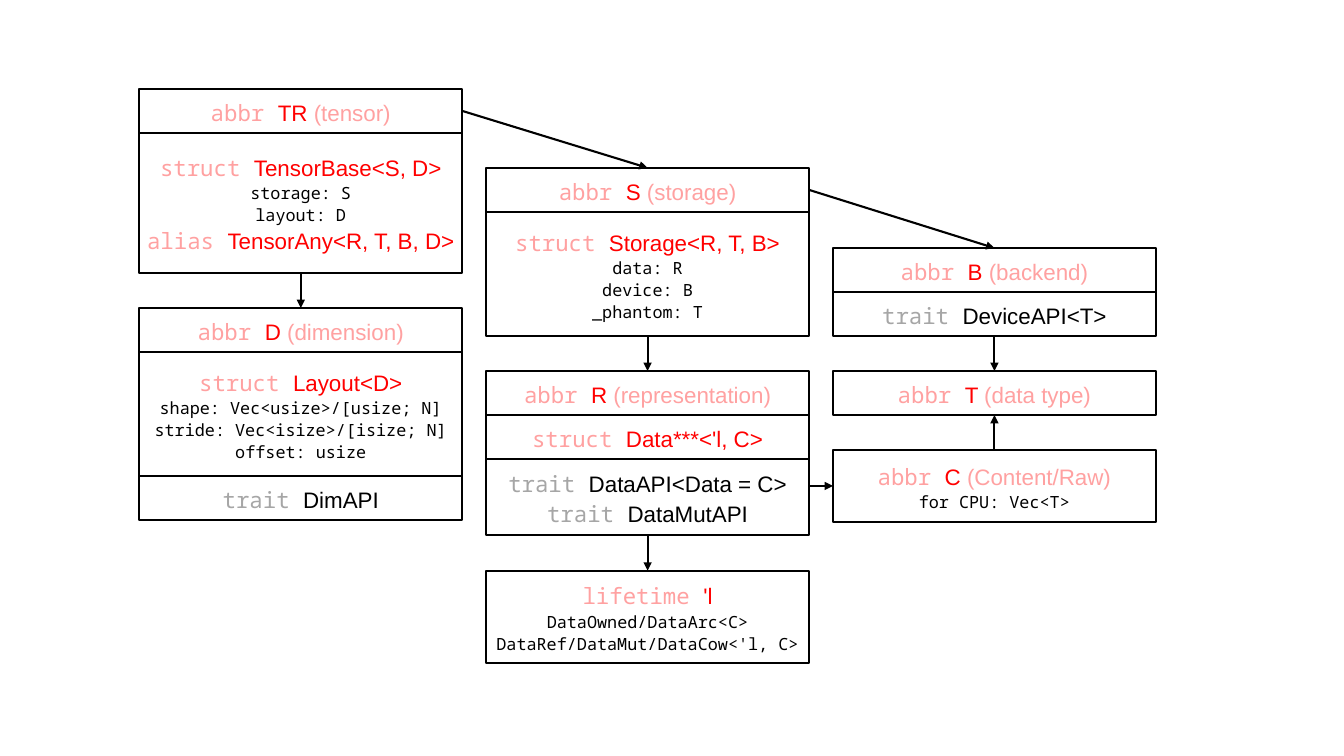
from collections import namedtuple

from lxml import etree
from pptx import Presentation
from pptx.dml.color import RGBColor
from pptx.enum.shapes import MSO_CONNECTOR, MSO_SHAPE
from pptx.enum.text import MSO_ANCHOR, PP_ALIGN
from pptx.oxml.ns import qn
from pptx.util import Cm, Pt

RECT = MSO_SHAPE.RECTANGLE
STRAIGHT = MSO_CONNECTOR.STRAIGHT
MIDDLE = MSO_ANCHOR.MIDDLE
CENTER = PP_ALIGN.CENTER

BLACK = RGBColor(0x00, 0x00, 0x00)
RED = RGBColor(0xFF, 0x00, 0x00)
PINK = RGBColor(0xFF, 0xA1, 0xA1)
GREY = RGBColor(0xA6, 0xA6, 0xA6)

SANS = "Arial"
MONO = "Noto Sans Mono"

LEFT = 3.51
PITCH = 8.74
WIDTH = 8.14
ROW = 1.11
STROKE = Pt(1.5)

Stack = namedtuple("Stack", "left mid right top end")


def add_run(par, text, face, color):
    run = par.add_run()
    run.text = text
    run.font.name = face
    run.font.color.rgb = color


def add_line(par, line):
    """Write a field (plain string) or a (keyword, name, note) heading."""
    par.alignment = CENTER
    par.line_spacing = 1.1
    if isinstance(line, str):
        par.font.size = Pt(12)
        par.font.name = MONO
        par.font.color.rgb = BLACK
        par.add_run().text = line
        return
    par.font.size = Pt(16)
    word, name, *note = line
    pale, strong = (GREY, BLACK) if word == "trait" else (PINK, RED)
    add_run(par, word + " ", MONO, pale)
    add_run(par, name + " " if note else name, SANS, strong)
    for text in note:
        add_run(par, text, SANS, pale)


def add_cell(slide, left, top, height, lines):
    cell = slide.shapes.add_shape(RECT, Cm(left), Cm(top), Cm(WIDTH), Cm(height))
    cell.shadow.inherit = False
    cell.fill.background()
    cell.line.color.rgb = BLACK
    cell.line.width = STROKE
    frame = cell.text_frame
    frame.word_wrap = True
    frame.vertical_anchor = MIDDLE
    frame.margin_left = frame.margin_right = 0
    for index, line in enumerate(lines):
        par = frame.add_paragraph() if index else frame.paragraphs[0]
        add_line(par, line)


def add_stack(slide, column, top, *cells):
    """Pile (height, lines) cells downwards and return the outer bounds."""
    left = LEFT + column * PITCH
    end = top
    for height, lines in cells:
        add_cell(slide, left, end, height, lines)
        end += height
    return Stack(left, left + WIDTH / 2, left + WIDTH, top, end)


def add_arrow(slide, start, stop):
    points = [Cm(value) for value in (*start, *stop)]
    arrow = slide.shapes.add_connector(STRAIGHT, *points)
    arrow.line.color.rgb = BLACK
    arrow.line.width = STROKE
    props = arrow._element.spPr
    etree.SubElement(props.find(qn("a:ln")), qn("a:tailEnd"), type="triangle")
    etree.SubElement(props, qn("a:effectLst"))


def main():
    deck = Presentation()
    deck.slide_width = Cm(33.87)
    deck.slide_height = Cm(19.05)
    slide = deck.slides.add_slide(deck.slide_layouts[6])

    tensor = add_stack(
        slide, 0, 2.24,
        (ROW, [("abbr", "TR", "(tensor)")]),
        (3.52, [("struct", "TensorBase<S, D>"), "storage: S", "layout: D",
                ("alias", "TensorAny<R, T, B, D>")]))
    layout = add_stack(
        slide, 0, 7.76,
        (ROW, [("abbr", "D", "(dimension)")]),
        (3.13, [("struct", "Layout<D>"), "shape: Vec<usize>/[usize; N]",
                "stride: Vec<isize>/[isize; N]", "offset: usize"]),
        (ROW, [("trait", "DimAPI")]))

    storage = add_stack(
        slide, 1, 4.23,
        (ROW, [("abbr", "S", "(storage)")]),
        (3.13, [("struct", "Storage<R, T, B>"), "data: R", "device: B",
                "_phantom: T"]))
    data = add_stack(
        slide, 1, 9.35,
        (ROW, [("abbr", "R", "(representation)")]),
        (ROW, [("struct", "Data***<'l, C>")]),
        (1.91, [("trait", "DataAPI<Data = C>"), ("trait", "DataMutAPI")]))
    life = add_stack(
        slide, 1, 14.38,
        (2.33, [("lifetime", "'l"), "DataOwned/DataArc<C>",
                "DataRef/DataMut/DataCow<'l, C>"]))

    backend = add_stack(
        slide, 2, 6.25,
        (ROW, [("abbr", "B", "(backend)")]),
        (ROW, [("trait", "DeviceAPI<T>")]))
    dtype = add_stack(slide, 2, 9.35, (ROW, [("abbr", "T", "(data type)")]))
    content = add_stack(
        slide, 2, 11.33,
        (1.83, [("abbr", "C", "(Content/Raw)"), "for CPU: Vec<T>"]))

    for upper, lower in ((tensor, layout), (storage, data), (data, life),
                         (backend, dtype)):
        add_arrow(slide, (upper.mid, upper.end), (lower.mid, lower.top))
    for owner, part in ((tensor, storage), (storage, backend)):
        add_arrow(slide, (owner.right, owner.top + ROW / 2), (part.mid, part.top))
    add_arrow(slide, (content.mid, content.top), (dtype.mid, dtype.end))
    level = (content.top + content.end) / 2
    add_arrow(slide, (data.right, level), (content.left, level))

    deck.save("out.pptx")


if __name__ == "__main__":
    main()
